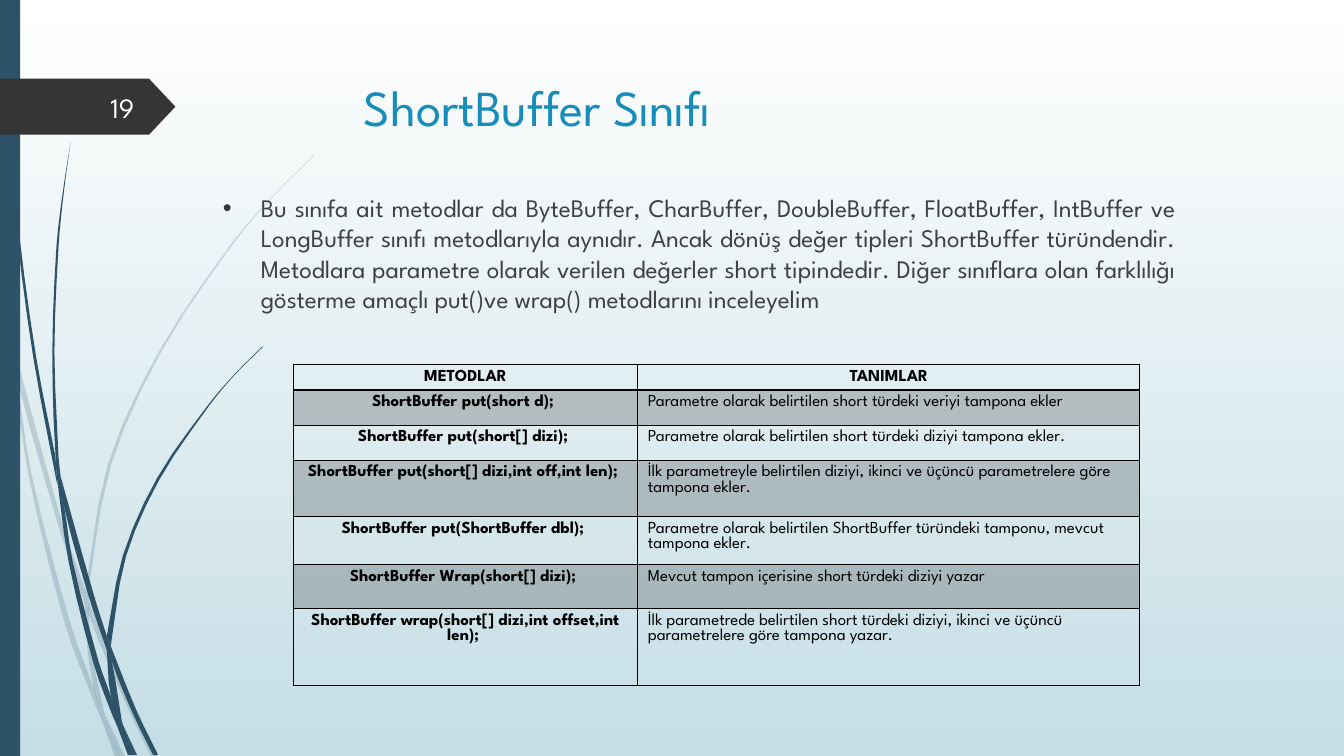
import math

import lxml.etree
import pptx
import pptx.dml.color
import pptx.enum.shapes
import pptx.enum.text
import pptx.oxml.ns
import pptx.util

Pt = pptx.util.Pt
RGBColor = pptx.dml.color.RGBColor
Align = pptx.enum.text.PP_ALIGN
Anchor = pptx.enum.text.MSO_ANCHOR
Preset = pptx.enum.shapes.MSO_SHAPE
qn = pptx.oxml.ns.qn

FONT = "League Spartan"
WHITE = RGBColor(0xFF, 0xFF, 0xFF)
MIST = RGBColor(0xC5, 0xDE, 0xE5)
NAVY = RGBColor(0x2E, 0x53, 0x69)
CHARCOAL = RGBColor(0x35, 0x35, 0x35)
NUMBER_WHITE = RGBColor(0xFE, 0xFF, 0xFF)
TITLE_BLUE = RGBColor(0x17, 0x8D, 0xBB)
BODY_GREY = RGBColor(0x40, 0x40, 0x40)
BLACK = RGBColor(0, 0, 0)

PALE_WISPS = [
    ([(0, 203), (6.5, 231.8), (7.9, 252)], [(7.2, 247.7), (0, 215.3)]),
    ([(10.1, 248.4), (12.2, 270.7), (41.8, 375.8), (60.5, 431.3)], [(61.2, 421.9), (44.6, 374.4), (10.1, 248.4)]),
    ([(63.4, 429.1), (63.4, 439.2), (88.6, 499.7), (108, 540.7)],
     [(111.6, 540.7), (91.4, 498.2), (66.2, 437), (63.4, 429.1)]),
    ([(75.6, 511.9), (85.7, 540.7)], [(89.3, 540.7), (75.6, 511.9)]),
    ([(7.9, 252), (20.2, 338.4), (46.8, 447.1), (66.2, 499), (72.7, 514.1)],
     [(71.3, 509), (67, 491.8), (50.4, 445.7), (22.3, 337.7), (12.2, 270.7), (7.9, 252)]),
    ([(60.5, 431.3), (62.6, 465.1), (67, 491.8), (69.1, 498.2), (75.6, 511.9)],
     [(74.2, 508.3), (65.5, 465.1), (63.4, 439.2), (60.5, 431.3)]),
    ([(224.6, 110.2), (193, 141.8), (164.2, 175.7), (113.8, 250.6), (77, 331.9), (61.2, 421.9)],
     [(63.4, 429.1), (63.4, 420.5), (79.2, 332.6), (115.2, 251.3), (164.9, 176.4), (193, 142.6), (224.6, 110.9)]),
    ([(72.7, 514.1), (82.1, 540.7)], [(85.7, 540.7), (72.7, 514.1)]),
    ([(60.5, 431.3), (63.4, 439.2)], [(63.4, 429.1), (61.2, 421.9)]),
    ([(67, 491.8), (71.3, 509), (72.7, 514.1), (85.7, 540.7)], [(75.6, 511.9), (69.1, 498.2), (67, 491.8)]),
]
DARK_WISPS = [
    ([(2.2, 0), (2.9, 34.6), (5, 79.2), (12.2, 167.8), (23.8, 255.6), (40.3, 343.4), (41, 346.3)],
     [(39.6, 326.2), (25.9, 255.6), (13.7, 167), (5.8, 78.5), (3.6, 34.6), (2.9, 0)]),
    ([(43.2, 339.8), (46.1, 363.6), (63.4, 426.2), (76.3, 464.4)], [(76.3, 454.3), (67, 424.8), (43.2, 339.8)]),
    ([(79.2, 461.5), (79.9, 472.3), (95, 509.8), (109.4, 539.3)],
     [(113, 539.3), (97.9, 508.3), (81.4, 467.3), (79.2, 461.5)]),
    ([(41, 343.4), (49, 401), (67, 474.5), (79.9, 509.8), (84.2, 519.8)],
     [(83.5, 516.2), (79.2, 497.5), (70.6, 473), (51.8, 400.3), (46.1, 363.6), (41, 343.4)]),
    ([(50.4, 101.5), (44.6, 139), (40.3, 176.4), (37.4, 251.3), (39.6, 323.3), (43.2, 339.8)],
     [(41.8, 326.2), (38.9, 251.3), (41.8, 176.4), (45.4, 139), (50.4, 101.5)]),
    ([(87.8, 517.7), (95.8, 539.3)], [(97.9, 539.3), (87.8, 517.7)]),
    ([(39.6, 323.3), (41, 343.4), (46.1, 363.6)], [(43.2, 339.8), (39.6, 323.3)]),
    ([(187.2, 247.7), (166.3, 268.6), (146.9, 291.6), (112.3, 341.3), (87.8, 396.7), (76.3, 454.3)],
     [(79.2, 461.5), (79.9, 455.8), (90, 397.4), (113.8, 342.7), (147.6, 292.3), (166.3, 269.3), (187.9, 247.7)]),
    ([(84.2, 519.8), (91.4, 539.3)], [(94.3, 539.3), (84.2, 519.8)]),
    ([(76.3, 464.4), (79.2, 497.5), (87.8, 517.7)], [(87.1, 515.5), (79.9, 472.3), (76.3, 464.4)]),
    ([(76.3, 454.3), (76.3, 464.4), (79.9, 472.3)], [(79.2, 461.5), (76.3, 454.3)]),
    ([(79.2, 497.5), (84.2, 519.8), (93.6, 539.3)], [(95.8, 539.3), (87.8, 517.7), (79.2, 497.5)]),
]
BODY = (
    "Bu sınıfa ait metodlar da ByteBuffer, CharBuffer, DoubleBuffer, FloatBuffer, IntBuffer ve "
    "LongBuffer sınıfı metodlarıyla aynıdır. Ancak dönüş değer tipleri ShortBuffer türündendir. "
    "Metodlara parametre olarak verilen değerler short tipindedir. Diğer sınıflara olan farklılığı "
    "gösterme amaçlı put()ve wrap() metodlarını inceleyelim"
)
METHODS = [
    (18, "METODLAR", "TANIMLAR"),
    (25, "ShortBuffer put(short d); ", "Parametre olarak belirtilen short türdeki veriyi tampona ekler"),
    (25, "ShortBuffer put(short[] dizi); ", "Parametre olarak belirtilen short türdeki diziyi tampona ekler."),
    (40.5, "ShortBuffer put(short[] dizi,int off,int len); ",
     "İlk parametreyle belirtilen diziyi, ikinci ve üçüncü parametrelere göre tampona ekler."),
    (34, "ShortBuffer put(ShortBuffer dbl); ",
     "Parametre olarak belirtilen ShortBuffer türündeki tamponu, mevcut tampona ekler."),
    (31.5, "ShortBuffer Wrap(short[] dizi); ", "Mevcut tampon içerisine short türdeki diziyi yazar"),
    (55, "ShortBuffer wrap(short[] dizi,int offset,int len); ",
     "İlk parametrede belirtilen short türdeki diziyi, ikinci ve üçüncü parametrelere göre tampona yazar."),
]


def style_text(paragraph, size, color, bold=False, align=Align.LEFT):
    """Format a paragraph and its runs."""
    paragraph.alignment = align
    for run in paragraph.runs:
        run.font.name, run.font.size, run.font.bold = FONT, Pt(size), bold
        run.font.color.rgb = color


def set_fill(fill, color, opacity=100):
    """Apply a solid fill with an opacity in percent."""
    fill.solid()
    fill.fore_color.rgb = color
    if opacity < 100:
        lxml.etree.SubElement(fill._xPr.find(".//" + qn("a:srgbClr")), qn("a:alpha"), val=str(opacity * 1000))


def paint(shape, color, opacity=100):
    """Fill a shape flat, without line or shadow."""
    shape.shadow.inherit = False
    shape.line.fill.background()
    set_fill(shape.fill, color, opacity)


def smooth(anchors, steps=3):
    """Return a smooth curve through the anchors."""
    padded = [anchors[0], *anchors, anchors[-1]]
    curve = []
    for a, b, c, d in zip(padded, padded[1:], padded[2:], padded[3:]):
        start, end = math.dist(b, c) / math.dist(a, c), math.dist(b, c) / math.dist(b, d)
        for t in (step / steps for step in range(steps)):
            ease = t * t * (3 - 2 * t)
            curve.append(tuple(
                q + ease * (r - q) + t * (1 - t) ** 2 * start * (r - p) - t * t * (1 - t) * end * (s - q)
                for p, q, r, s in zip(a, b, c, d)))
    return curve + [anchors[-1]]


def add_wisps(slide, left, top, wisps, opacity):
    """Draw curved blades, each between an outer and an inner edge."""
    for outer, inner in wisps:
        outline = [(Pt(left + x), Pt(top + y)) for x, y in smooth(outer) + smooth(inner)]
        builder = slide.shapes.build_freeform(*outline[0])
        builder.add_line_segments(outline[1:], close=True)
        paint(builder.convert_to_shape(), NAVY, opacity)


def add_backdrop(slide, width, height):
    """Set the gradient, the wisps and the side bar."""
    fill = slide.background.fill
    fill.gradient()
    fill.gradient_angle = 270
    for stop, color, position in zip(fill.gradient_stops, (WHITE, MIST), (0, 1)):
        stop.color.rgb, stop.position = color, position
    add_wisps(slide, 0, 0, PALE_WISPS, 20)
    add_wisps(slide, 0, 0, DARK_WISPS, 100)
    paint(slide.shapes.add_shape(Preset.RECTANGLE, 0, 0, Pt(width), Pt(height)), NAVY)


def add_page_marker(slide, left, top, width, height):
    """Draw the arrow tag with the slide number."""
    tag = slide.shapes.add_shape(Preset.PENTAGON, Pt(left), Pt(top), Pt(width), Pt(height))
    tag.adjustments[0] = 0.47
    paint(tag, CHARCOAL)
    number = slide.shapes.add_textbox(Pt(left + 41.8), Pt(top + 5.7), Pt(61.2), Pt(28.8)).text_frame
    number.word_wrap, number.vertical_anchor = True, Anchor.MIDDLE
    number.text = "19"
    style_text(number.paragraphs[0], 20, NUMBER_WHITE, align=Align.RIGHT)


def add_title(slide, left, top, width, height):
    """Place the slide title."""
    title = slide.shapes.title
    title.left, title.top, title.width, title.height = Pt(left), Pt(top), Pt(width), Pt(height)
    title.text_frame.text = "ShortBuffer Sınıfı"
    title.text_frame.auto_size = pptx.enum.text.MSO_AUTO_SIZE.NONE
    title.text_frame.vertical_anchor = Anchor.TOP
    style_text(title.text_frame.paragraphs[0], 36, TITLE_BLUE)


def add_body(slide, left, top, width, height):
    """Place the justified bullet text."""
    body = slide.shapes.add_textbox(Pt(left), Pt(top), Pt(width), Pt(height)).text_frame
    body.word_wrap = True
    body.text = BODY
    properties = body.paragraphs[0]._p.get_or_add_pPr()
    properties.set("marL", str(Pt(27)))
    properties.set("indent", str(-Pt(27)))
    bullet_color = lxml.etree.SubElement(properties, qn("a:buClr"))
    lxml.etree.SubElement(bullet_color, qn("a:srgbClr"), val=str(CHARCOAL))
    lxml.etree.SubElement(properties, qn("a:buFont"), typeface="Arial")
    lxml.etree.SubElement(properties, qn("a:buChar"), char="•")
    style_text(body.paragraphs[0], 18, BODY_GREY, align=Align.JUSTIFY)


def set_borders(cell, bottom):
    """Give a cell black borders, with its own bottom width."""
    for index, (side, width) in enumerate(zip("LRTB", (1, 1, 1, bottom))):
        line = lxml.etree.Element(qn("a:ln" + side), w=str(Pt(width)))
        fill = lxml.etree.SubElement(line, qn("a:solidFill"))
        lxml.etree.SubElement(fill, qn("a:srgbClr"), val=str(BLACK))
        cell._tc.get_or_add_tcPr().insert(index, line)


def add_methods_table(slide, left, top, widths):
    """Build the table of methods and descriptions."""
    size = Pt(sum(widths)), Pt(sum(row[0] for row in METHODS))
    table = slide.shapes.add_table(len(METHODS), len(widths), Pt(left), Pt(top), *size).table
    for column, width in zip(table.columns, widths):
        column.width = Pt(width)
    for r, (row_height, *texts) in enumerate(METHODS):
        table.rows[r].height = Pt(row_height)
        for c, text in enumerate(texts):
            cell = table.cell(r, c)
            cell.text_frame.text = text
            heading = r == 0 or c == 0
            paragraph = cell.text_frame.paragraphs[0]
            style_text(paragraph, 12, BLACK, heading, Align.CENTER if heading else Align.LEFT)
            paragraph.line_spacing = Pt(11)
            if r % 2:
                set_fill(cell.fill, BLACK, 20)
            else:
                cell.fill.background()
            set_borders(cell, 2 if r == 0 else 1)


def main():
    """Build and save the slide."""
    deck = pptx.Presentation()
    deck.slide_width, deck.slide_height = Pt(960), Pt(540)
    slide = deck.slides.add_slide(deck.slide_layouts[5])
    add_backdrop(slide, 14.4, 540)
    add_page_marker(slide, 0, 56.2, 125.3, 40)
    add_title(slide, 252.7, 50.4, 702, 100.8)
    add_body(slide, 152.2, 133.9, 694.8, 422.6)
    add_methods_table(slide, 209.4, 260.5, (246.2, 358.6))
    deck.save("out.pptx")


main() if __name__ == "__main__" else None
